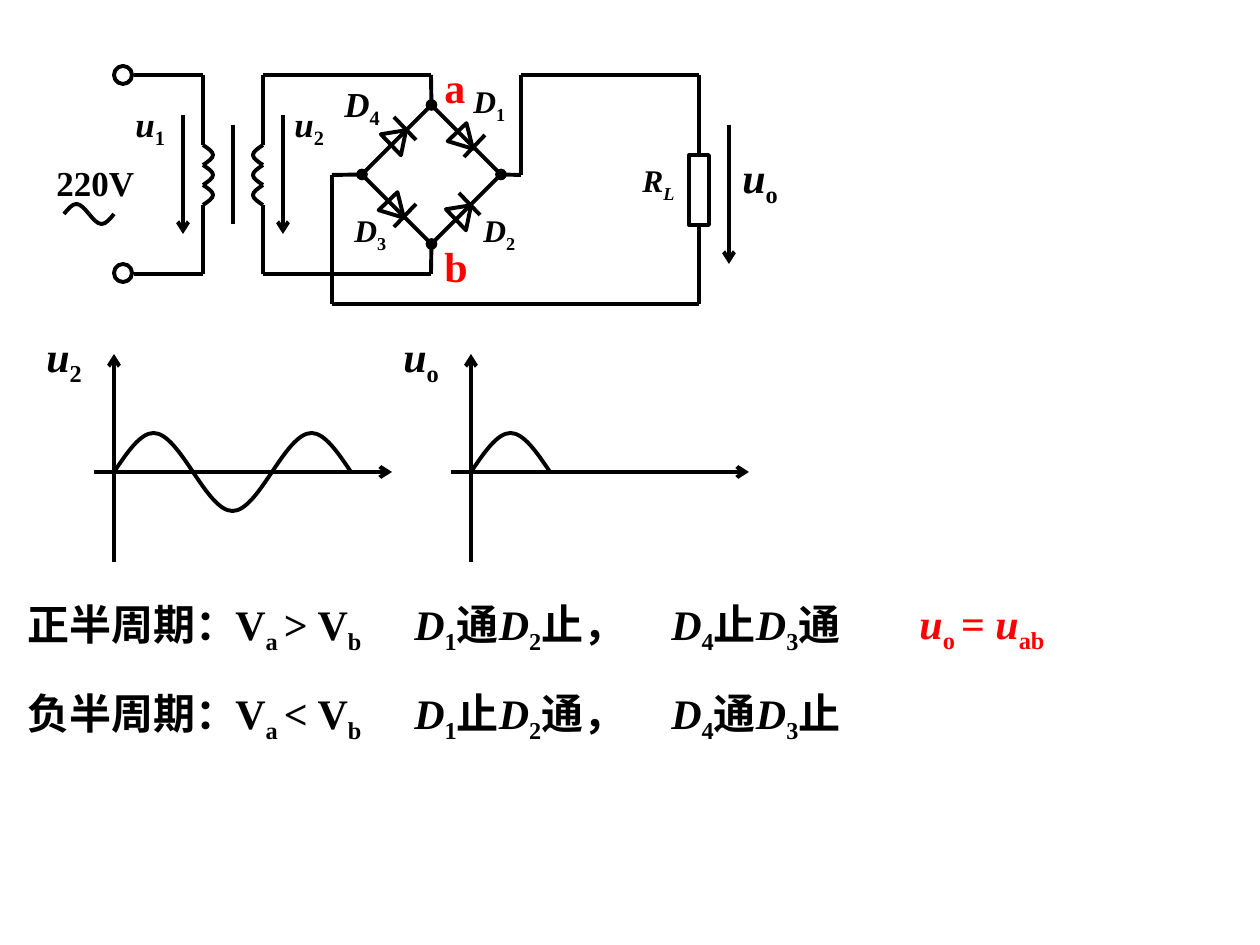
from typing import NamedTuple

from lxml import etree
from pptx import Presentation
from pptx import util as u
from pptx.dml.color import RGBColor
from pptx.enum import shapes, text
from pptx.oxml import ns

SCALE = 914400 / 126
BLACK, RED, WHITE = "000000", "FF0000", "FFFFFF"
KIND = shapes.MSO_SHAPE


class Wire(NamedTuple):
    x1: int
    y1: int
    x2: int
    y2: int
    head: str = ""
    tail: str = ""


class Part(NamedTuple):
    kind: int
    x: int
    y: int
    w: int
    h: int
    turn: float = 0


class Label(NamedTuple):
    """Runs are split by |; * marks italic and _ marks a subscript."""
    runs: str
    x: int
    y: int
    w: int = 89
    h: int = 71
    size: int = 24
    color: str = BLACK


def px(n: float) -> int:
    return round(n * SCALE)


def rgb(color: str) -> RGBColor:
    return RGBColor.from_string(color)


def ink(shape) -> None:
    shape.line.color.rgb = rgb(BLACK)
    shape.line.width = u.Pt(2.25)


def add_wire(slide, wire: Wire):
    ends = (px(n) for n in wire[:4])
    line = slide.shapes.add_connector(shapes.MSO_CONNECTOR.STRAIGHT, *ends)
    ink(line)
    stroke = line.line._get_or_add_ln()
    for tag, kind in (("a:headEnd", wire.head), ("a:tailEnd", wire.tail)):
        if kind:
            etree.SubElement(stroke, ns.qn(tag), type=kind)
    etree.SubElement(line._element.spPr, ns.qn("a:effectLst"))
    return line


def add_part(slide, part: Part, filled: bool = True):
    box = (px(n) for n in part[1:5])
    shape = slide.shapes.add_shape(part.kind, *box)
    shape.rotation = part.turn
    shape.shadow.inherit = False
    if filled:
        shape.fill.solid()
        shape.fill.fore_color.rgb = rgb(WHITE)
    else:
        shape.fill.background()
    ink(shape)
    return shape


def add_arc(slide, x: int, y: int, w: int, h: int, turn: int = 0) -> None:
    """Draw half a sine wave, humped upwards before it is turned."""
    curve = [(w / 6, h / 2), (w / 3, 0), (w / 2, 0),
             (w * 2 / 3, 0), (w * 5 / 6, h / 2), (w, h)]
    pen = slide.shapes.build_freeform(0, px(h), 1.0)
    pen.add_line_segments([(px(a), px(b)) for a, b in curve], close=False)
    shape = pen.convert_to_shape(px(x), px(y))
    track = next(shape._element.iter(ns.qn("a:path")))
    steps = track.findall(ns.qn("a:lnTo"))
    for i in range(0, len(steps), 3):
        bend = etree.SubElement(track, ns.qn("a:cubicBezTo"))
        for step in steps[i:i + 3]:
            bend.append(step[0])
            track.remove(step)
    shape.rotation = turn
    shape.shadow.inherit = False
    shape.fill.background()
    ink(shape)


def add_label(slide, label: Label) -> None:
    box = (px(n) for n in label[1:5])
    frame = slide.shapes.add_textbox(*box).text_frame
    frame.word_wrap = True
    frame.auto_size = text.MSO_AUTO_SIZE.SHAPE_TO_FIT_TEXT
    for mark in label.runs.split("|"):
        run = frame.paragraphs[0].add_run()
        run.text = mark.lstrip("*_")
        style = {"name": "Times New Roman", "size": u.Pt(label.size),
                 "bold": True, "italic": "*" in mark}
        for key, value in style.items():
            setattr(run.font, key, value)
        run.font.color.rgb = rgb(label.color)
        if "_" in mark:
            run._r.get_or_add_rPr().set("baseline", "-25000")


WIRES = [
    Wire(203, 75, 203, 145), Wire(203, 205, 203, 274),
    Wire(203, 75, 134, 75), Wire(203, 274, 134, 274),
    Wire(263, 75, 263, 145), Wire(263, 205, 263, 274),
    Wire(233, 125, 233, 224),
    Wire(263, 75, 431, 75), Wire(263, 274, 431, 274),
    Wire(332, 175, 332, 304), Wire(332, 304, 699, 304),
    Wire(521, 175, 521, 75), Wire(521, 75, 699, 75),
    Wire(699, 75, 699, 304),
    Wire(183, 115, 183, 234, tail="arrow"),
    Wire(283, 115, 283, 234, tail="arrow"),
    Wire(729, 125, 729, 264, tail="arrow"),
]
# Leads from the bridge corners, in the order of its connection sites
LEADS = [
    Wire(431, 105, 431, 75, head="oval"), Wire(362, 175, 332, 175, head="oval"),
    Wire(431, 244, 431, 274, head="oval"), Wire(501, 175, 521, 175, head="oval"),
]
PARTS = [
    Part(KIND.OVAL, 114, 66, 18, 18), Part(KIND.OVAL, 114, 264, 18, 18),
    Part(KIND.RECTANGLE, 689, 155, 20, 70),
]
DIODES = [
    (Part(KIND.ISOSCELES_TRIANGLE, 452, 129, 26, 23, 136.3), Wire(485, 135, 464, 157)),
    (Part(KIND.ISOSCELES_TRIANGLE, 449, 202, 29, 21, 46.3), Wire(459, 193, 480, 215)),
    (Part(KIND.ISOSCELES_TRIANGLE, 383, 198, 26, 23, 136.3), Wire(416, 204, 394, 227)),
    (Part(KIND.ISOSCELES_TRIANGLE, 384, 127, 29, 21, 46.3), Wire(394, 117, 416, 140)),
]
BRIDGE = Part(KIND.DIAMOND, 362, 105, 139, 139)
LABELS = [
    Label("*u|_o", 730, 145), Label("*R|_*L", 630, 155, 100, 55, 18),
    Label("*u|_1", 123, 96, 89, 60, 20), Label("*u|_2", 282, 96, 89, 60, 20),
    Label("*D|_1", 461, 76, 89, 55, 18), Label("*D|_2", 471, 205, 89, 55, 18),
    Label("*D|_3", 342, 205, 89, 55, 18), Label("*D|_4", 332, 76, 89, 60, 20),
    Label("220V", 44, 155, 159, 55, 20),
    Label("a", 432, 55, 89, 63, color=RED), Label("b", 432, 234, 89, 63, color=RED),
    Label("*u|_o |= |*u|_ab", 907, 591, 169, color=RED),
]
CYCLES = [
    (592, "正半周期：", ">", "通", "止"),
    (681, "负半周期：", "<", "止", "通"),
]
PLOTS = [(0, "*u|_2", 3), (357, "*u|_o", 1)]


def add_plot(slide, dx: int, name: str, halves: int) -> None:
    add_wire(slide, Wire(94 + dx, 472, 392 + dx, 472, tail="arrow"))
    add_wire(slide, Wire(114 + dx, 354, 114 + dx, 562, head="arrow"))
    for i in range(halves):
        low = i % 2
        add_arc(slide, 114 + dx + 79 * i, 433 + 39 * low, 79, 39, 180 * low)
    add_label(slide, Label(name, 34 + dx, 324, 189))


def add_cycle(slide, y: int, name: str, sign: str, one: str, two: str) -> None:
    add_label(slide, Label(name, 15, y, 258, 63))
    add_label(slide, Label(f"V|_a |{sign} V|_b", 223, y, 248))
    add_label(slide, Label(f"*D|_1|{one}|*D|_2|{two}，", 402, y, 387))
    add_label(slide, Label(f"*D|_4|{two}|*D|_3|{one}", 659, y, 387))


def main() -> None:
    deck = Presentation()
    deck.slide_width, deck.slide_height = px(1260), px(945)
    slide = deck.slides.add_slide(deck.slide_layouts[6])
    for wire in WIRES:
        add_wire(slide, wire)
    for y in (150, 170, 190):
        add_arc(slide, 198, y, 20, 10, 90)
        add_arc(slide, 248, y, 20, 10, 270)
    for part in PARTS:
        add_part(slide, part)
    for part, bar in DIODES:
        add_part(slide, part)
        add_wire(slide, bar)
    bridge = add_part(slide, BRIDGE, filled=False)
    for site, lead in enumerate(LEADS):
        add_wire(slide, lead).begin_connect(bridge, site)
    add_arc(slide, 64, 204, 25, 10)
    add_arc(slide, 89, 214, 25, 10, 180)
    for label in LABELS:
        add_label(slide, label)
    for plot in PLOTS:
        add_plot(slide, *plot)
    for cycle in CYCLES:
        add_cycle(slide, *cycle)


    deck.save("out.pptx")


if __name__ == "__main__":
    main()
